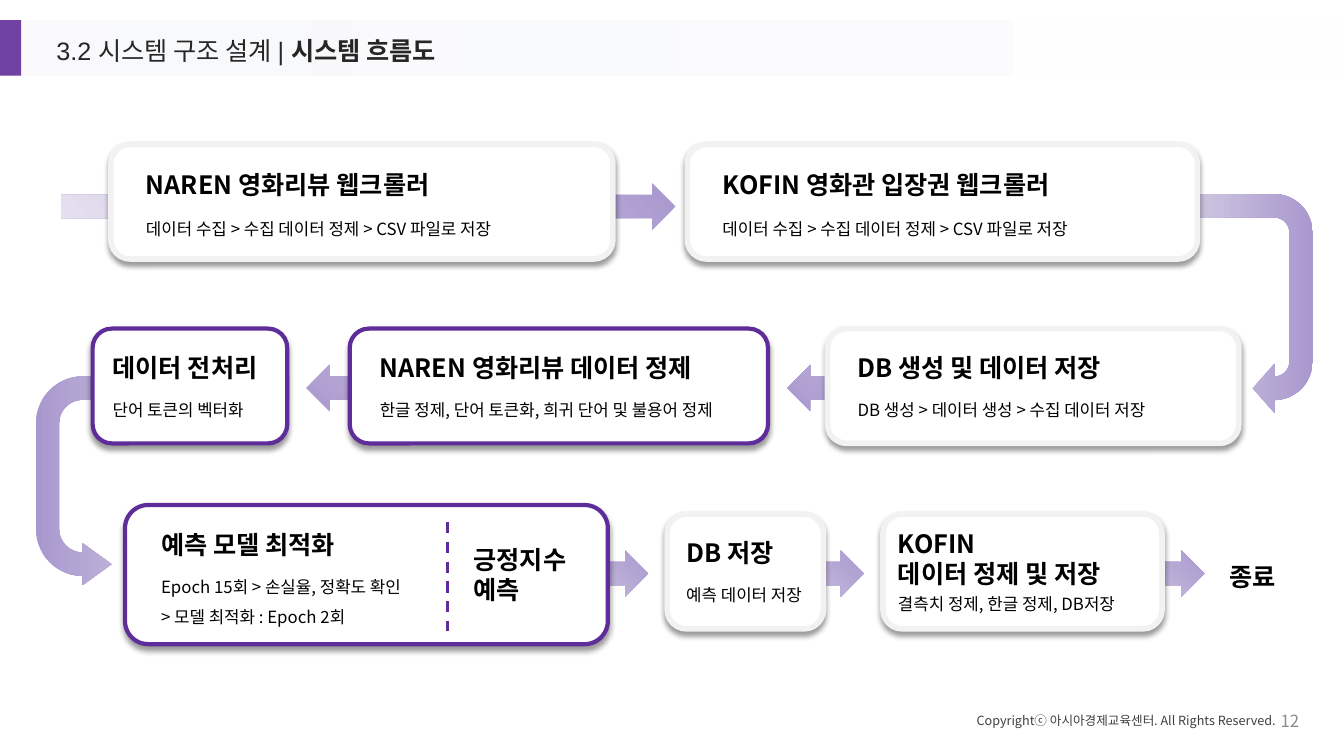
from lxml.etree import SubElement
from pptx import Presentation
from pptx.dml.color import RGBColor
from pptx.enum.dml import MSO_LINE
from pptx.enum.shapes import MSO_CONNECTOR, MSO_SHAPE
from pptx.enum.text import MSO_ANCHOR, MSO_AUTO_SIZE, PP_ALIGN
from pptx.oxml.ns import qn
from pptx.util import Pt

COLORS = {
    "accent": "6F41A2", "focus": "5F2D9A", "border": "F2F2F2",
    "white": "FFFFFF", "band": "F6F7FB", "title": "262626",
    "text": "000000", "footer": "404040", "number": "8C8C8C",
    "flow_dark": "A998CE", "flow_mid": "CAC1DF", "flow_light": "E5E1EF",
}
SANS = "Noto Sans CJK KR"
FLOW = [(0, "flow_dark", 100), (50, "flow_mid", 100), (100, "flow_light", 100)]
CRAWL_STEPS = "데이터 수집 > 수집 데이터 정제 > CSV 파일로 저장"

# box (left, top, width, height), border, text left,
# heading top, heading lines, detail top, detail lines
CARDS = [
    ((79.2, 103, 358.6, 82), "border", 97.2,
     117.4, ["NAREN 영화리뷰 웹크롤러"], 152.6, [CRAWL_STEPS]),
    ((491, 103, 364.3, 82), "border", 509,
     117.4, ["KOFIN 영화관 입장권 웹크롤러"], 152.6, [CRAWL_STEPS]),
    ((591.1, 234.7, 293.8, 82), "border", 605.5,
     248.4, ["DB 생성 및 데이터 저장"], 282.2, ["DB 생성 > 데이터 생성 > 수집 데이터 저장"]),
    ((249.8, 234.7, 298.8, 82), "focus", 264.2,
     248.4, ["NAREN 영화리뷰 데이터 정제"],
     282.2, ["한글 정제, 단어 토큰화, 희귀 단어 및 불용어 정제"]),
    ((66.2, 234.7, 139, 82), "focus", 73.4,
     248.4, ["데이터 전처리"], 282.2, ["단어 토큰의 벡터화"]),
    ((89.3, 360.7, 344.9, 99.4), "focus", 108,
     374.4, ["예측 모델 최적화"],
     408.2, ["Epoch 15회 > 손실율, 정확도 확인", "> 모델 최적화 : Epoch 2회"]),
    ((476.6, 367.2, 111.6, 82), "border", 483.1,
     380.2, ["DB 저장"], 414, ["예측 데이터 저장"]),
    ((630.7, 367.2, 199.4, 82), "border", 634.3,
     373.7, ["KOFIN", "데이터 정제 및 저장"], 420.5, ["결측치 정제, 한글 정제, DB저장"]),
]
# left, top, width, rotation
STRAIGHT_ARROWS = [
    (43.9, 131, 438.5, 0),
    (562.3, 260.6, 268.6, 180), (218.9, 260.6, 268.6, 180),
    (337, 393.1, 126, 0), (491, 393.1, 126, 0), (734.4, 393.1, 126, 0),
]


def rgb(name):
    return RGBColor.from_string(COLORS[name])


def add_block(shapes, kind, box, fill=None):
    block = shapes.add_shape(kind, *map(Pt, box))
    block.shadow.inherit = False
    block.line.fill.background()
    if fill:
        block.fill.solid()
        block.fill.fore_color.rgb = rgb(fill)
    return block


def set_gradient(block, stops, angle):
    """Fill with (position, colour, opacity) stops; angle runs clockwise."""
    block.fill.gradient()
    gradient = block.fill._xPr.find(qn("a:gradFill"))
    gradient.set("rotWithShape", "1")
    stop_list = gradient.find(qn("a:gsLst"))
    for old_stop in list(stop_list):
        stop_list.remove(old_stop)
    for position, color, opacity in stops:
        stop = SubElement(stop_list, qn("a:gs"), pos=str(position * 1000))
        tint = SubElement(stop, qn("a:srgbClr"), val=COLORS[color])
        if opacity < 100:
            SubElement(tint, qn("a:alpha"), val=str(opacity * 1000))
    gradient.find(qn("a:lin")).set("ang", str(angle * 60000))


def add_flow_arrow(shapes, kind, box, adjustments, rotation, angle):
    arrow = add_block(shapes, kind, box)
    for index, value in enumerate(adjustments):
        arrow.adjustments[index] = value
    arrow.rotation = rotation
    set_gradient(arrow, FLOW, angle)
    return arrow


def add_soft_shadow(block):
    effects = block._element.spPr.find(qn("a:effectLst"))
    shadow = SubElement(effects, qn("a:outerShdw"), blurRad=str(Pt(4)),
                        dist=str(Pt(3)), dir="5400000", algn="t", rotWithShape="0")
    tint = SubElement(shadow, qn("a:srgbClr"), val=COLORS["text"])
    SubElement(tint, qn("a:alpha"), val="40000")


def style_paragraph(paragraph, size, color, bold=None, font=SANS):
    paragraph.font.size = Pt(size)
    paragraph.font.bold = bold
    paragraph.font.color.rgb = rgb(color)
    paragraph.font.name = font
    defaults = paragraph._p.pPr.find(qn("a:defRPr"))
    SubElement(defaults, qn("a:ea"), typeface=SANS)


def add_text(shapes, box, lines, size, color="text", bold=None, wrap=True):
    label = shapes.add_textbox(*map(Pt, box))
    frame = label.text_frame
    frame.word_wrap = wrap
    frame.text = "\n".join(lines)
    for paragraph in frame.paragraphs:
        style_paragraph(paragraph, size, color, bold)
    return frame


def add_card(slide, box, border, text_left, heading_top, heading, detail_top, detail):
    shapes = slide.shapes.add_group_shape().shapes
    panel = add_block(shapes, MSO_SHAPE.ROUNDED_RECTANGLE, box, "white")
    panel.line.color.rgb = rgb(border)
    panel.line.width = Pt(3 if border == "focus" else 4)
    add_soft_shadow(panel)
    text_width = box[0] + box[2] - text_left
    add_text(shapes, (text_left, heading_top, text_width, 29 * len(heading)),
             heading, 18, bold=True)
    steps = add_text(shapes, (text_left, detail_top, text_width, 22 * len(detail)),
                     detail, 12)
    for paragraph in steps.paragraphs[1:]:
        paragraph.line_spacing = 1.5


def add_header(slide):
    band = add_block(slide.shapes, MSO_SHAPE.RECTANGLE, (15.1, 14.4, 944.9, 39.6))
    set_gradient(band, [(0, "band", 58), (100, "white", 100)], 0)
    add_block(slide.shapes, MSO_SHAPE.RECTANGLE, (0, 14.4, 15.1, 39.6), "accent")

    title = slide.shapes.title
    title.left, title.top, title.width, title.height = map(Pt, (33.1, 23.8, 355.7, 28.1))
    slide.shapes._spTree.append(title._element)
    frame = title.text_frame
    frame.auto_size = MSO_AUTO_SIZE.NONE
    frame.vertical_anchor = MSO_ANCHOR.TOP
    paragraph = frame.paragraphs[0]
    paragraph.alignment = PP_ALIGN.LEFT
    paragraph.line_spacing = 0.9
    paragraph.add_run().text = "3.2 시스템 구조 설계 | "
    topic = paragraph.add_run()
    topic.text = "시스템 흐름도"
    topic.font.bold = True
    style_paragraph(paragraph, 18, "title", font="Arial")


def add_flow(slide):
    shapes = slide.shapes
    left_turn = add_flow_arrow(
        shapes, MSO_SHAPE.U_TURN_ARROW, (41.8, 252.7, 149, 181.4),
        (0.112, 0.1, 0.138, 0.438, 0.298), 90, 90)
    left_turn._element.spPr.find(qn("a:xfrm")).set("flipV", "1")
    add_block(shapes, MSO_SHAPE.RECTANGLE, (207.4, 251.3, 35.3, 52.6), "white")
    add_flow_arrow(shapes, MSO_SHAPE.U_TURN_ARROW, (784.8, 141.8, 156.2, 149.8),
                   (0.112, 0.116, 0.102, 0.227, 0.286), 90, 90)
    for left, top, width, rotation in STRAIGHT_ARROWS:
        add_flow_arrow(shapes, MSO_SHAPE.RIGHT_ARROW, (left, top, width, 33.1),
                       (0.5, 0.5), rotation, 135)


def add_divider(slide):
    divider = slide.shapes.add_connector(
        MSO_CONNECTOR.STRAIGHT, Pt(319.7), Pt(373), Pt(319.7), Pt(450.7))
    divider.line.color.rgb = rgb("focus")
    divider.line.width = Pt(2)
    divider.line.dash_style = MSO_LINE.DASH
    SubElement(divider._element.spPr, qn("a:effectLst"))


def add_footer(slide):
    add_text(slide.shapes, (690.5, 505.4, 236.2, 18),
             ["Copyrightⓒ 아시아경제교육센터. All Rights Reserved."], 9, "footer", wrap=False)
    number = add_text(slide.shapes, (890.6, 500.4, 44.6, 28.8), ["12"], 12, "number")
    number.vertical_anchor = MSO_ANCHOR.MIDDLE
    number.paragraphs[0].alignment = PP_ALIGN.RIGHT


def main():
    prs = Presentation()
    prs.slide_width, prs.slide_height = Pt(960), Pt(540)
    slide = prs.slides.add_slide(prs.slide_layouts[5])
    add_header(slide)
    add_flow(slide)
    for card in CARDS:
        add_card(slide, *card)
    add_text(slide.shapes, (331.2, 385.2, 103, 51.1), ["긍정지수", "예측"], 18, bold=True)
    add_divider(slide)
    add_text(slide.shapes, (871.2, 397.4, 70.6, 28.8), ["종료"], 18, bold=True)
    add_footer(slide)
    prs.save("out.pptx")


if __name__ == "__main__":
    main()
